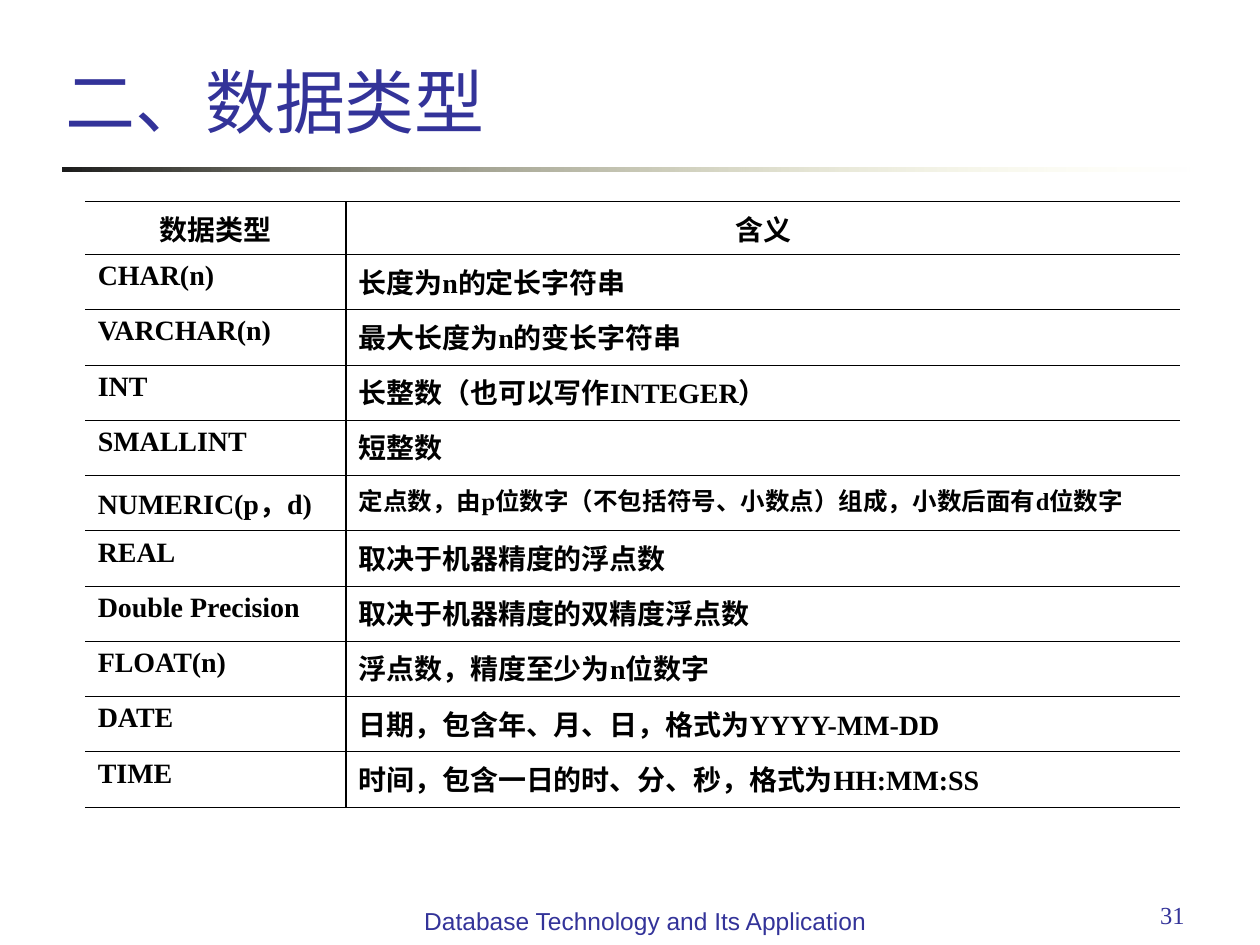
from lxml import etree
from pptx import Presentation
from pptx.dml.color import RGBColor
from pptx.enum import shapes, text
from pptx.oxml import ns
from pptx.util import Pt

COLORS = {"ink": "000000", "title": "333399", "bar_start": "1C1C1C", "bar_end": "FFFFB7"}
LATIN, SERIF = "Arial", "Times New Roman"
THIN, THICK = 0.45, 1.08
COLUMN_WIDTHS = (149.1, 476.6)
HEADER_HEIGHT, ROW_HEIGHT = 30.2, 31.6
HEADER = ("数据类型", "含义")
DATA_TYPES = [
    ("CHAR(n)", "长度为n的定长字符串"),
    ("VARCHAR(n)", "最大长度为n的变长字符串"),
    ("INT", "长整数（也可以写作INTEGER）"),
    ("SMALLINT", "短整数"),
    ("NUMERIC(p，d)", "定点数，由p位数字（不包括符号、小数点）组成，小数后面有d位数字"),
    ("REAL", "取决于机器精度的浮点数"),
    ("Double Precision", "取决于机器精度的双精度浮点数"),
    ("FLOAT(n)", "浮点数，精度至少为n位数字"),
    ("DATE", "日期，包含年、月、日，格式为YYYY-MM-DD"),
    ("TIME", "时间，包含一日的时、分、秒，格式为HH:MM:SS"),
]
LONG_TEXT = 30  # longer meanings are set smaller, to stay on one line


def color(name):
    return RGBColor.from_string(COLORS[name])


def style(para, size, font, color_name, align, bold=False):
    para.alignment = align
    para.font.size = Pt(size)
    para.font.name = font
    para.font.bold = bold
    para.font.color.rgb = color(color_name)


def add_text(page, place, words, size, font, align, anchor=text.MSO_ANCHOR.TOP):
    box = page.shapes.add_textbox(*map(Pt, place))
    frame = box.text_frame
    frame.word_wrap = True
    frame.vertical_anchor = anchor
    para = frame.paragraphs[0]
    para.text = words
    style(para, size, font, "title", align)


def add_fading_bar(page, place):
    """Add a bar that fades to transparent on the right."""
    bar = page.shapes.add_shape(shapes.MSO_SHAPE.RECTANGLE, *map(Pt, place))
    bar.shadow.inherit = False
    bar.line.fill.background()
    bar.fill.gradient()
    bar.fill.gradient_angle = 0
    for stop, name in zip(bar.fill.gradient_stops, ("bar_start", "bar_end")):
        stop.color.rgb = color(name)
    last_color = bar.fill._xPr.findall(".//" + ns.qn("a:srgbClr"))[-1]
    etree.SubElement(last_color, ns.qn("a:alpha"), val="0")


def set_borders(cell, widths):
    """Set left, right, top and bottom borders; a width of 0 hides one."""
    properties = cell._tc.get_or_add_tcPr()
    for index, (side, width) in enumerate(zip("LRTB", widths)):
        line = etree.Element(ns.qn("a:ln" + side), w=str(Pt(width)))
        if width:
            fill = etree.SubElement(line, ns.qn("a:solidFill"))
            etree.SubElement(fill, ns.qn("a:srgbClr"), val=COLORS["ink"])
        else:
            etree.SubElement(line, ns.qn("a:noFill"))
        properties.insert(index, line)


def fill_cell(cell, words, align, borders):
    cell.fill.background()
    set_borders(cell, borders)
    cell.margin_left = cell.margin_right = Pt(7.2)
    cell.margin_top = cell.margin_bottom = Pt(3.6)
    para = cell.text_frame.paragraphs[0]
    para.text = words
    size = 14 if len(words) > LONG_TEXT else 16
    style(para, size, SERIF, "ink", align, bold=True)


def add_type_table(page, left, top):
    rows = [HEADER] + DATA_TYPES
    heights = [HEADER_HEIGHT] + [ROW_HEIGHT] * len(DATA_TYPES)
    place = (left, top, sum(COLUMN_WIDTHS), sum(heights))
    table = page.shapes.add_table(len(rows), len(HEADER), *map(Pt, place)).table
    table.first_row = table.horz_banding = False
    for column, width in zip(table.columns, COLUMN_WIDTHS):
        column.width = Pt(width)
    for r, (words, height) in enumerate(zip(rows, heights)):
        table.rows[r].height = Pt(height)
        align = text.PP_ALIGN.LEFT if r else text.PP_ALIGN.CENTER
        fill_cell(table.cell(r, 0), words[0], align, (0, THICK, THIN, THIN))
        fill_cell(table.cell(r, 1), words[1], align, (THICK, 0, THIN, THIN))


def main():
    deck = Presentation()
    deck.slide_width, deck.slide_height = Pt(720), Pt(540)
    page = deck.slides.add_slide(deck.slide_layouts[6])
    align = text.PP_ALIGN
    add_fading_bar(page, (36, 95.8, 648, 2.5))
    add_text(page, (516, 510.5, 168, 37.4), "31", 14, SERIF, align.RIGHT)
    add_text(page, (229.7, 514, 278, 37.4), "Database Technology and Its Application",
             14, LATIN, align.CENTER)
    add_text(page, (30.2, 0, 632.2, 85), "二、数据类型", 40, LATIN, align.LEFT,
             text.MSO_ANCHOR.BOTTOM)
    add_type_table(page, 48.7, 115.2)
    deck.save("out.pptx")


if __name__ == "__main__":
    main()
